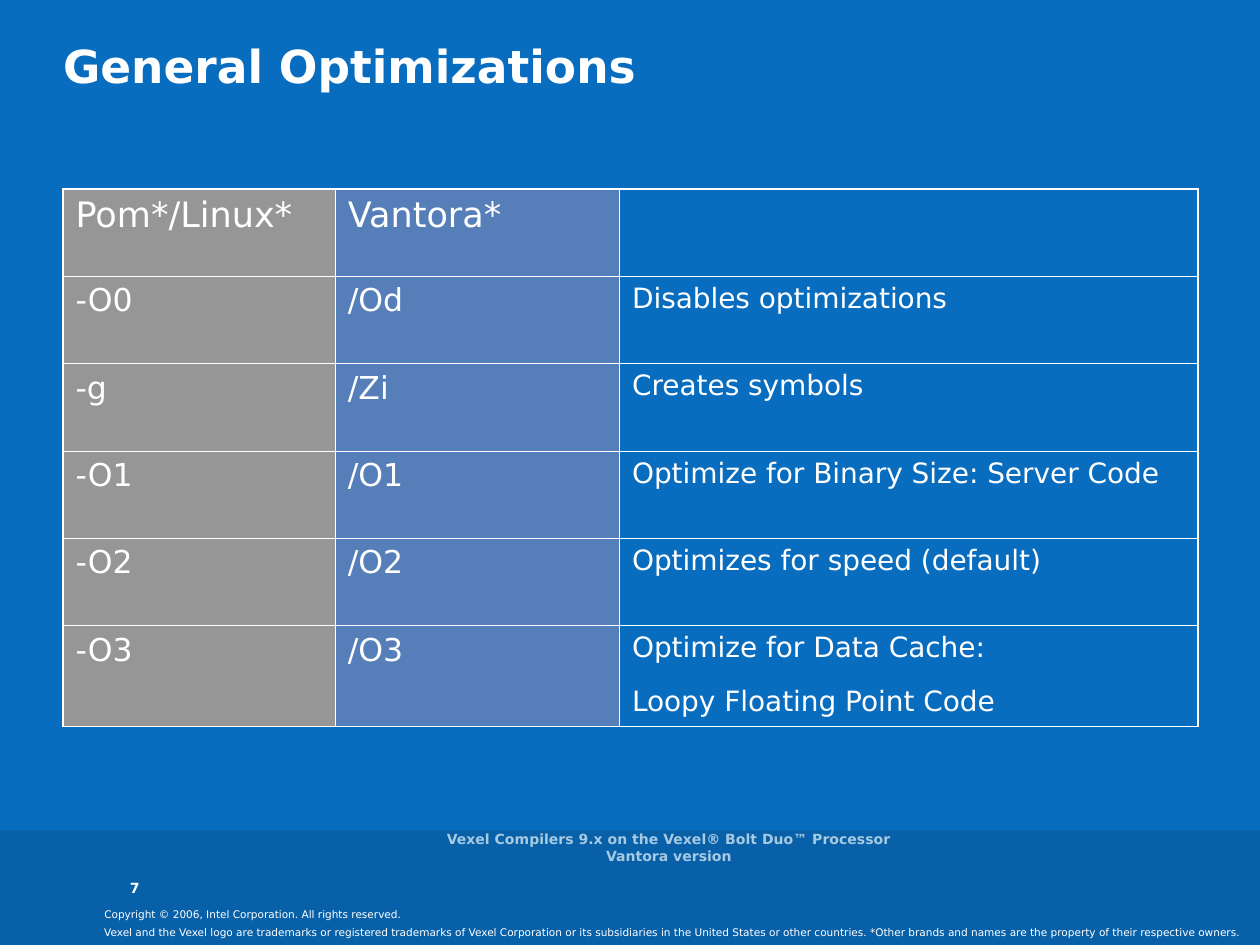
from lxml.etree import SubElement
from pptx import Presentation
from pptx.dml.color import RGBColor
from pptx.enum.shapes import MSO_SHAPE
from pptx.enum.text import MSO_ANCHOR, PP_ALIGN
from pptx.oxml.ns import qn
from pptx.util import Pt

FONT = "DejaVu Sans"
WHITE = RGBColor(0xFF, 0xFF, 0xFF)
BACKGROUND = RGBColor(0x09, 0x6D, 0xBF)
BAND = RGBColor(0x08, 0x60, 0xA8)
GRAY = RGBColor(0x96, 0x96, 0x96)
STEEL = RGBColor(0x56, 0x7E, 0xB9)
PALE = RGBColor(0xA6, 0xCA, 0xE1)


def write(frame, text, size, color=WHITE, bold=False, align=PP_ALIGN.LEFT,
          anchor=MSO_ANCHOR.TOP, margins=(0, 0), gap=0):
    """Fill a text frame or cell; gap is the space between its paragraphs."""
    across, down = (Pt(margin) for margin in margins)
    frame_format = {"margin_left": across, "margin_right": across,
                    "margin_top": down, "margin_bottom": down,
                    "vertical_anchor": anchor, "word_wrap": True}
    text_frame = getattr(frame, "text_frame", frame)
    text_frame.text = text
    for name, value in frame_format.items():
        setattr(frame, name, value)
    for index, paragraph in enumerate(text_frame.paragraphs):
        paragraph.alignment = align
        paragraph.space_before = Pt(gap if index else 0)
        for name, value in {"name": FONT, "size": Pt(size), "bold": bold}.items():
            setattr(paragraph.font, name, value)
        paragraph.font.color.rgb = color


def add_border(cell, side, width):
    line = SubElement(cell._tc.get_or_add_tcPr(), qn(f"a:ln{side}"), w=str(Pt(width)))
    fill = SubElement(line, qn("a:solidFill"))
    SubElement(fill, qn("a:srgbClr"), val=str(WHITE))


presentation = Presentation()
presentation.slide_width, presentation.slide_height = Pt(720), Pt(540)
slide = presentation.slides.add_slide(presentation.slide_layouts[5])
slide.background.fill.solid()
slide.background.fill.fore_color.rgb = BACKGROUND

# Title
title = slide.shapes.title
title_place = {"left": 36, "top": 21.6, "width": 648.7, "height": 69.8}
for name, value in title_place.items():
    setattr(title, name, Pt(value))
write(title.text_frame, "General Optimizations", 26, bold=True)

# Footer band and its texts
band = slide.shapes.add_shape(MSO_SHAPE.RECTANGLE, 0, Pt(474.5), Pt(720), Pt(65.5))
band.shadow.inherit = False
band.fill.solid()
band.fill.fore_color.rgb = BAND
band.line.fill.background()

footer_texts = [
    ((52.5, 515.5, 519, 14.4), "Copyright © 2006, Intel Corporation. All rights reserved.",
     {"size": 6, "margins": (7.2, 3.6)}),
    ((52.5, 525.6, 667.5, 14.4),
     "Vexel and the Vexel logo are trademarks or registered trademarks of Vexel Corporation "
     "or its subsidiaries in the United States or other countries. "
     "*Other brands and names are the property of their respective owners.",
     {"size": 6, "margins": (7.2, 3.6)}),
    ((238.3, 472.3, 288, 23.8),
     "Vexel Compilers 9.x on the Vexel® Bolt Duo™ Processor Vantora version",
     {"size": 8, "color": PALE, "bold": True, "align": PP_ALIGN.CENTER,
      "anchor": MSO_ANCHOR.MIDDLE}),
    ((74.2, 488.2, 32.4, 23.8), "7",
     {"size": 8, "bold": True, "anchor": MSO_ANCHOR.BOTTOM}),
]
for place, text, text_format in footer_texts:
    box = slide.shapes.add_textbox(*(Pt(value) for value in place))
    write(box.text_frame, text, **text_format)

# Table of compiler options
options = [
    ("Pom*/Linux*", "Vantora*", ""),
    ("-O0", "/Od", "Disables optimizations"),
    ("-g", "/Zi", "Creates symbols"),
    ("-O1", "/O1", "Optimize for Binary Size: Server Code"),
    ("-O2", "/O2", "Optimizes for speed (default)"),
    ("-O3", "/O3", "Optimize for Data Cache:\nLoopy Floating Point Code"),
]
column_widths = [155.6, 162.4, 330.7]
row_heights = [49.9] * 5 + [57.7]
column_fills = [GRAY, STEEL, None]
column_sizes = [18, 18, 16]
THIN, THICK = 0.45, 1.08

table = slide.shapes.add_table(
    len(options), len(column_widths), Pt(36), Pt(108),
    Pt(sum(column_widths)), Pt(sum(row_heights))).table
table.first_row = table.horz_banding = False
for column, width in zip(table.columns, column_widths):
    column.width = Pt(width)
for row, height in zip(table.rows, row_heights):
    row.height = Pt(height)

last_row, last_column = len(options) - 1, len(column_widths) - 1
for row_index, texts in enumerate(options):
    for column_index, text in enumerate(texts):
        cell = table.cell(row_index, column_index)
        size = column_sizes[column_index] if row_index else 20
        write(cell, text, size, margins=(7.2, 3.6), gap=12)
        outer_sides = {"L": column_index == 0, "R": column_index == last_column,
                       "T": row_index == 0, "B": row_index == last_row}
        for side, outer in outer_sides.items():
            add_border(cell, side, THICK if outer else THIN)
        if column_fills[column_index]:
            cell.fill.solid()
            cell.fill.fore_color.rgb = column_fills[column_index]
        else:
            cell.fill.background()

presentation.save("out.pptx")
